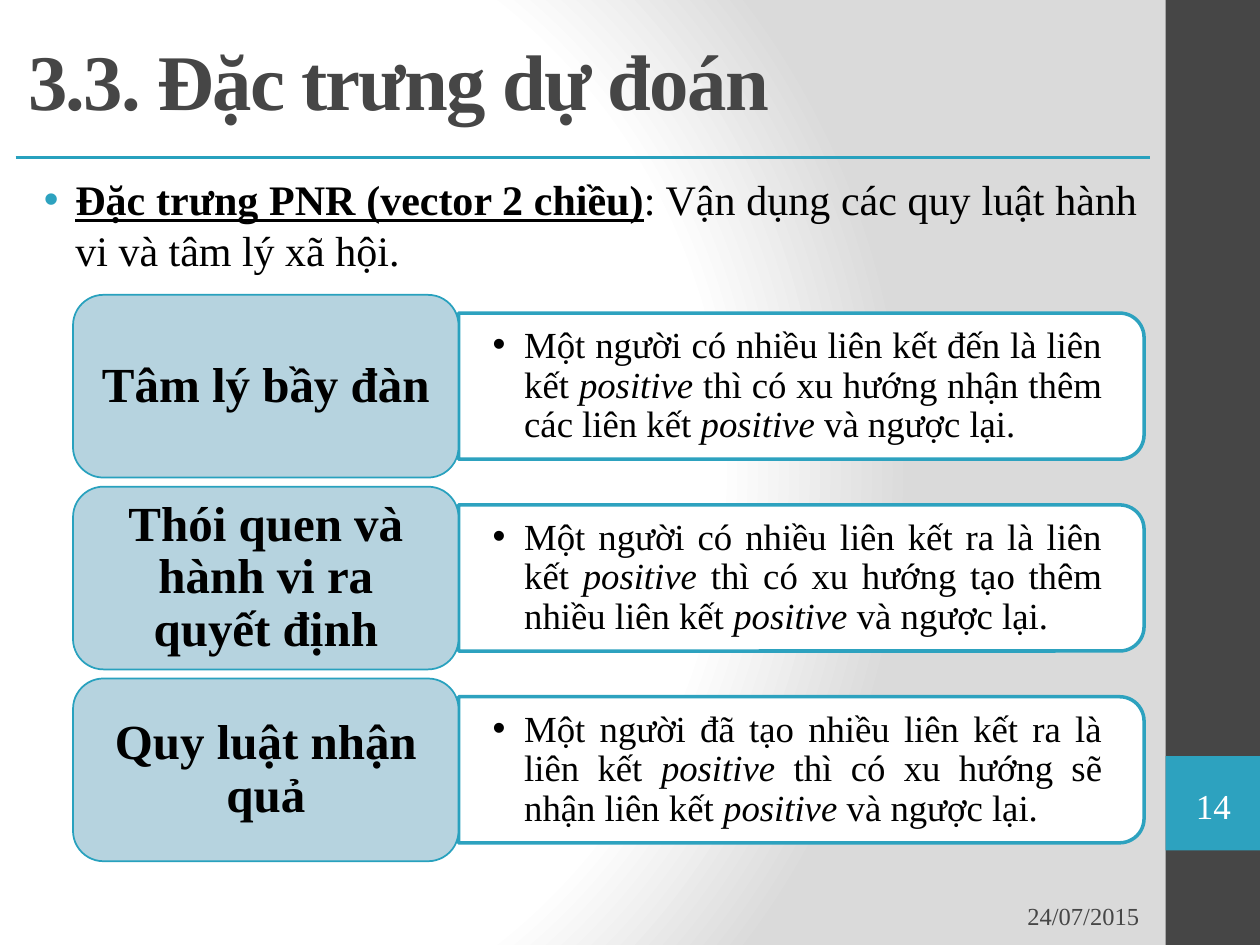
from pptx import Presentation
from pptx.dml.color import RGBColor
from pptx.enum.shapes import MSO_CONNECTOR, MSO_SHAPE as SHAPE
from pptx.enum.text import MSO_ANCHOR as ANCHOR, PP_ALIGN as ALIGN
from pptx.oxml import parse_xml
from pptx.oxml.ns import nsdecls, qn
from pptx.util import Inches, Pt
from lxml.etree import SubElement

WHITE = RGBColor(0xFF, 0xFF, 0xFF)
BLACK = RGBColor(0x00, 0x00, 0x00)
DARK = RGBColor(0x46, 0x46, 0x46)
GRAY = RGBColor(0xDA, 0xDA, 0xDA)
TEAL = RGBColor(0x2D, 0xA2, 0xBF)
EDGE = RGBColor(0x28, 0xA1, 0xBE)
PALE = RGBColor(0xB6, 0xD3, 0xDF)

LAWS = [
    ("Tâm lý bầy đàn",
     ("Một người có nhiều liên kết đến là liên kết ",
      " thì có xu hướng nhận thêm các liên kết ")),
    ("Thói quen và hành vi ra quyết định",
     ("Một người có nhiều liên kết ra là liên kết ",
      " thì có xu hướng tạo thêm nhiều liên kết ")),
    ("Quy luật nhận quả",
     ("Một người đã tạo nhiều liên kết ra là liên kết ",
      " thì có xu hướng sẽ nhận liên kết ")),
]


class Deck:
    """Style and current slide; every length is in cells of an 80 x 60 grid."""
    FONT = "Times New Roman"
    COLS, ROWS = 80, 60

    def __init__(self):
        self.prs = Presentation()
        self.prs.slide_width, self.prs.slide_height = Inches(10), Inches(7.5)
        self.slide = self.prs.slides.add_slide(self.prs.slide_layouts[6])

    def cells(self, x, y, *size):
        w, h = self.prs.slide_width / self.COLS, self.prs.slide_height / self.ROWS
        return [round(v * (h if i % 2 else w)) for i, v in enumerate((x, y, *size))]

    def background(self, stops):
        """Circular gradient; stops are (percent, colour) pairs."""
        gs = "".join(f'<a:gs pos="{pos * 1000}"><a:srgbClr val="{color}"/></a:gs>'
                     for pos, color in stops)
        self.slide.element.cSld.insert(0, parse_xml(
            f'<p:bg {nsdecls("p", "a")}><p:bgPr><a:gradFill rotWithShape="1">'
            f'<a:gsLst>{gs}</a:gsLst><a:path path="circle">'
            '<a:fillToRect l="20000" t="50000" r="100000" b="50000"/></a:path>'
            '</a:gradFill><a:effectLst/></p:bgPr></p:bg>'))

    def shape(self, kind, box, fill, line=None, width=1):
        sp = self.slide.shapes.add_shape(kind, *self.cells(*box))
        sp.shadow.inherit = False
        sp.fill.solid()
        sp.fill.fore_color.rgb = fill
        if line is None:
            sp.line.fill.background()
        else:
            sp.line.color.rgb = line
            sp.line.width = Pt(width)
        return sp

    def panel(self, x, y, w, h):
        """White panel with its two right corners rounded."""
        box = (x + (w - h) / 2, y + (h - w) / 2, h, w)
        self.shape(SHAPE.ROUND_2_SAME_RECTANGLE, box, WHITE, TEAL, 2).rotation = 90

    def rule(self, x1, y, x2, color, width):
        line = self.slide.shapes.add_connector(
            MSO_CONNECTOR.STRAIGHT, *self.cells(x1, y, x2, y))
        line.line.color.rgb = color
        line.line.width = Pt(width)
        SubElement(line._element.spPr, qn("a:effectLst"))

    def textbox(self, box, runs, size, **style):
        sp = self.slide.shapes.add_textbox(*self.cells(*box))
        self.set_text(sp, runs, size, **style)

    def set_text(self, sp, runs, size, color=BLACK, align=ALIGN.LEFT, anchor=ANCHOR.MIDDLE,
                 inset=(0.8, 0.4), spacing=None, bullet=None, indent=2, tracking=0):
        """Fill one paragraph; runs are (text, font flags) pairs."""
        tf = sp.text_frame
        tf.word_wrap = True
        tf.vertical_anchor = anchor
        dx, dy = self.cells(*inset)
        tf.margin_left = tf.margin_right = dx
        tf.margin_top = tf.margin_bottom = dy
        p = tf.paragraphs[0]
        p.alignment = align
        if spacing:
            p.line_spacing = spacing
        if bullet is not None:
            self.bullet(p, bullet, indent)
        for text, flags in runs:
            r = p.add_run()
            r.text = text
            r.font.name, r.font.size = self.FONT, Pt(size)
            r.font.color.rgb = color
            for flag in flags:
                setattr(r.font, flag, True)
            if tracking:
                r._r.get_or_add_rPr().set("spc", str(tracking))

    def bullet(self, p, color, indent, hang=2):
        pPr = p._p.get_or_add_pPr()
        left, back = self.cells(indent, 0)[0], self.cells(hang, 0)[0]
        pPr.set("marL", str(left))
        pPr.set("indent", str(-back))
        SubElement(SubElement(pPr, qn("a:buClr")), qn("a:srgbClr")).set("val", str(color))
        SubElement(pPr, qn("a:buFont")).set("typeface", "Arial")
        SubElement(pPr, qn("a:buChar")).set("char", "•")


def main():
    deck = Deck()
    deck.background([(0, WHITE), (75, WHITE), (100, GRAY)])
    deck.shape(SHAPE.RECTANGLE, (74, 0, 6, 60), DARK)
    deck.shape(SHAPE.RECTANGLE, (74, 48, 6, 6), TEAL)
    deck.rule(1, 10, 73, EDGE, 2.25)

    deck.textbox((1, 0, 72, 10), [("3.3. Đặc trưng dự đoán", ["bold"])], 45,
                 color=DARK, tracking=-100)
    deck.textbox((1, 10.64, 72, 7.36),
                 [("Đặc trưng PNR (vector 2 chiều)", ["bold", "underline"]),
                  (": Vận dụng các quy luật hành vi và tâm lý xã hội.", [])],
                 24, align=ALIGN.JUSTIFY, anchor=ANCHOR.TOP, bullet=TEAL, indent=3)
    deck.textbox((51.76, 56.56, 21.36, 3.2), [("24/07/2015", [])], 14,
                 color=DARK, align=ALIGN.RIGHT)
    deck.textbox((74.64, 49.44, 4.8, 3.44), [("14", [])], 20,
                 color=WHITE, align=ALIGN.CENTER, inset=(0, 0))

    left, top, label_w, label_h, pitch = 4.64, 18.72, 24.48, 11.6, 12.18
    panel_x, panel_w, panel_h = left + label_w, 43.52, 9.28
    for i, (name, (cause, effect)) in enumerate(LAWS):
        y = top + i * pitch
        panel_y = y + (label_h - panel_h) / 2
        deck.panel(panel_x, panel_y, panel_w, panel_h)
        deck.textbox((panel_x, panel_y + 0.44, panel_w - 0.48, panel_h - 0.88),
                     [(cause, []), ("positive", ["italic"]), (effect, []),
                      ("positive", ["italic"]), (" và ngược lại.", [])],
                     21, align=ALIGN.JUSTIFY, inset=(2.16, 1.12), spacing=0.9, bullet=BLACK)
        label = deck.shape(SHAPE.ROUNDED_RECTANGLE, (left, y, label_w, label_h), PALE, EDGE)
        deck.set_text(label, [(name, ["bold"])], 28, align=ALIGN.CENTER,
                      inset=(0.96, 0.48), spacing=0.9)

    deck.prs.save("out.pptx")


if __name__ == "__main__":
    main()
